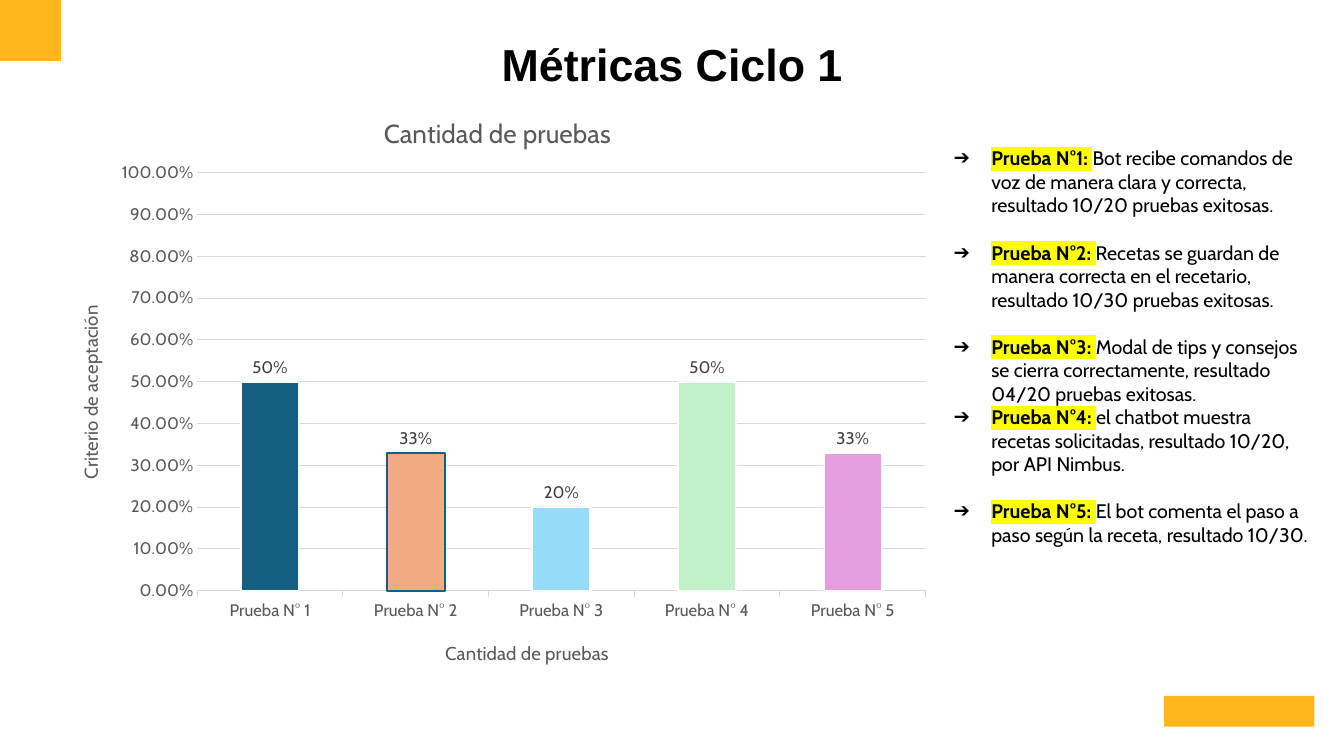
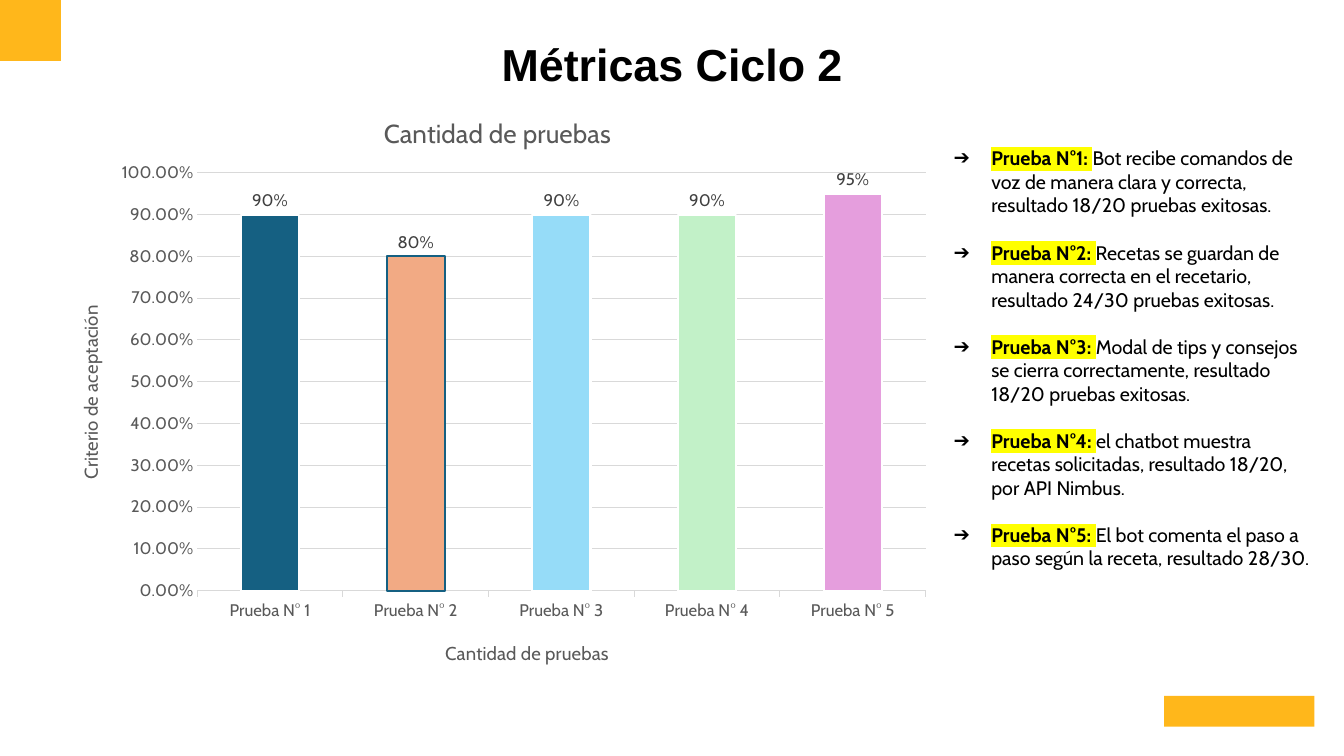
from typing import NamedTuple

from lxml import etree
from pptx import Presentation
from pptx.chart.data import CategoryChartData
from pptx.dml.color import RGBColor
from pptx.enum import chart as charts, shapes, text
from pptx.oxml import ns
from pptx.util import Pt

# Colours
GOLD = RGBColor(0xFF, 0xB7, 0x1B)
BLACK = RGBColor(0, 0, 0)
WHITE = RGBColor(0xFF, 0xFF, 0xFF)
GREY = RGBColor(0x59, 0x59, 0x59)
DARK = RGBColor(0x40, 0x40, 0x40)
PALE = RGBColor(0xD9, 0xD9, 0xD9)
TEAL = RGBColor(0x15, 0x60, 0x82)
PEACH = RGBColor(0xF2, 0xAA, 0x84)
SKY = RGBColor(0x96, 0xDC, 0xF8)
MINT = RGBColor(0xC2, 0xF1, 0xC8)
PINK = RGBColor(0xE5, 0x9E, 0xDD)
YELLOW = "FFFF00"

FONT = "Cabin"
TOTAL = "Cantidad de pruebas"
GAP = 16.8
INDENT = 27


class Bar(NamedTuple):
    fill: RGBColor
    edge: RGBColor = WHITE


class Note(NamedTuple):
    body: str
    gap: float = GAP


class Cycle(NamedTuple):
    title: str
    rates: list[float]
    notes: list[Note]


BARS = [Bar(TEAL), Bar(PEACH, TEAL), Bar(SKY), Bar(MINT), Bar(PINK)]


def get_notes(scores: list[str], gap: float) -> list[Note]:
    """Fill the five test results; gap is the space above the fourth."""
    one, two, three, four, five = scores
    return [
        Note(f"Bot recibe comandos de voz de manera clara y correcta, "
             f"resultado {one} pruebas exitosas.", 0),
        Note(f"Recetas se guardan de manera correcta en el recetario, "
             f"resultado {two} pruebas exitosas."),
        Note(f"Modal de tips y consejos se cierra correctamente, "
             f"resultado {three} pruebas exitosas."),
        Note(f"el chatbot muestra recetas solicitadas, resultado {four}, "
             f"por API Nimbus.", gap),
        Note(f"El bot comenta el paso a paso según la receta, "
             f"resultado {five}."),
    ]


CYCLES = [
    Cycle("Métricas Ciclo 1", [0.5, 0.33, 0.2, 0.5, 0.33],
          get_notes(["10/20", "10/30", "04/20", "10/20", "10/30"], 0)),
    Cycle("Métricas Ciclo 2", [0.9, 0.8, 0.9, 0.9, 0.95],
          get_notes(["18/20", "24/30", "18/20", "18/20", "28/30"], GAP)),
]


def set_font(font, size: float, color: RGBColor, name: str = FONT) -> None:
    font.name, font.size = name, Pt(size)
    font.color.rgb = color


def add_sub(node, tag: str, **attrs: str):
    return etree.SubElement(node, ns.qn(tag), attrs)


def add_block(slide, left: float, top: float, wide: float, high: float) -> None:
    box = slide.shapes.add_shape(shapes.MSO_SHAPE.RECTANGLE, Pt(left), Pt(top),
                                 Pt(wide), Pt(high))
    box.shadow.inherit = False
    box.fill.solid()
    box.fill.fore_color.rgb = GOLD
    box.line.fill.background()


def add_frame(slide, left: float, top: float, wide: float, high: float):
    box = slide.shapes.add_textbox(Pt(left), Pt(top), Pt(wide), Pt(high))
    box.text_frame.word_wrap = True
    return box.text_frame


# Title, corner square and plain mark
def add_head(slide, title: str) -> None:
    add_block(slide, 0, 0, 43.5, 43.5)
    add_block(slide, 831.5, 497, 107.5, 22)
    frame = add_frame(slide, 286.5, 29.5, 387.5, 36.5)
    frame.vertical_anchor = text.MSO_ANCHOR.MIDDLE
    para = frame.paragraphs[0]
    para.text = title
    para.alignment = text.PP_ALIGN.CENTER
    para.line_spacing = 0.9
    set_font(para.font, 32, BLACK, "Arial")
    para.font.bold = True


def set_place(node, left: float, top: float, wide: float = 0,
              high: float = 0) -> None:
    """Fix a title or the plot area at fractions of the chart."""
    for old in node.findall(ns.qn("c:layout")):
        node.remove(old)
    layout = etree.Element(ns.qn("c:layout"))
    manual = add_sub(layout, "c:manualLayout")
    if wide:
        add_sub(manual, "c:layoutTarget", val="inner")
    add_sub(manual, "c:xMode", val="edge")
    add_sub(manual, "c:yMode", val="edge")
    add_sub(manual, "c:x", val=str(left))
    add_sub(manual, "c:y", val=str(top))
    if wide:
        add_sub(manual, "c:w", val=str(wide))
        add_sub(manual, "c:h", val=str(high))
    words = node.find(ns.qn("c:tx"))
    if words is None:
        node.insert(0, layout)
    else:
        words.addnext(layout)


def set_title(owner, label: str, size: float, left: float, top: float,
              turn: int = 0) -> None:
    """Title a chart or an axis."""
    owner.has_title = True
    title = owner.chart_title if hasattr(owner, "chart_title") else owner.axis_title
    para = title.text_frame.paragraphs[0]
    para.text = label
    set_font(para.font, size, GREY)
    para.font.bold = False
    body = title.text_frame._txBody.bodyPr
    body.set("rot", str(turn * 60000))
    body.set("vert", "horz")
    set_place(title._element, left, top)


# Column chart
def add_bars(slide, rates: list[float]) -> None:
    data = CategoryChartData(number_format="0%")
    data.categories = [f"Prueba N° {n}" for n in range(1, len(rates) + 1)]
    data.add_series(TOTAL, rates)
    chart = slide.shapes.add_chart(
        charts.XL_CHART_TYPE.COLUMN_CLUSTERED, Pt(34), Pt(62), Pt(640), Pt(427),
        data).chart
    set_font(chart.font, 10, BLACK)
    chart.has_legend = False
    set_title(chart, TOTAL, 18.6, 0.37, 0.04)
    set_place(chart._chartSpace.chart.plotArea, 0.167, 0.144, 0.813, 0.699)

    cat, val = chart.category_axis, chart.value_axis
    set_title(cat, TOTAL, 13.3, 0.44, 0.92)
    set_title(val, "Criterio de aceptación", 13.3, 0.03, 0.36, -90)
    for axis in (cat, val):
        set_font(axis.tick_labels.font, 12, GREY)
    val.minimum_scale, val.maximum_scale, val.major_unit = 0, 1, 0.1
    val.tick_labels.number_format = "0.00%"
    val.tick_labels.number_format_is_linked = False
    val.major_tick_mark = charts.XL_TICK_MARK.NONE
    val.format.line.fill.background()
    cat.major_tick_mark = charts.XL_TICK_MARK.OUTSIDE
    for line in (cat.format.line, val.major_gridlines.format.line):
        line.color.rgb = PALE
        line.width = Pt(0.75)

    plot = chart.plots[0]
    plot.gap_width = 150
    plot.vary_by_categories = False
    series = plot.series[0]
    for i, bar in enumerate(BARS):
        form = series.points[i].format
        form.fill.solid()
        form.fill.fore_color.rgb = bar.fill
        form.line.color.rgb = bar.edge
        form.line.width = Pt(1.5)
    labels = series.data_labels
    labels.show_value = True
    labels.position = charts.XL_LABEL_POSITION.OUTSIDE_END
    labels.number_format = "0%"
    labels.number_format_is_linked = False
    set_font(labels.font, 12, DARK)


# Bulleted results
def add_notes(slide, notes: list[Note]) -> None:
    frame = add_frame(slide, 674, 101, 270, 340)
    for i, note in enumerate(notes):
        para = frame.add_paragraph() if i else frame.paragraphs[0]
        if note.gap:
            para.space_before = Pt(note.gap)
        props = para._p.get_or_add_pPr()
        props.set("marL", str(Pt(INDENT)))
        props.set("indent", str(-Pt(INDENT)))
        add_sub(props, "a:buFont", typeface="Arial")
        add_sub(props, "a:buChar", char="➔")
        set_font(para.font, 14, BLACK)
        name = para.add_run()
        name.text = f"Prueba N°{i + 1}: "
        name.font.bold = True
        mark = add_sub(name._r.get_or_add_rPr(), "a:highlight")
        add_sub(mark, "a:srgbClr", val=YELLOW)
        para.add_run().text = note.body


def main() -> None:
    deck = Presentation()
    deck.slide_width, deck.slide_height = Pt(960), Pt(540)
    for cycle in CYCLES:
        slide = deck.slides.add_slide(deck.slide_layouts[6])
        add_head(slide, cycle.title)
        add_bars(slide, cycle.rates)
        add_notes(slide, cycle.notes)
    deck.save("out.pptx")


if __name__ == "__main__":
    main()
